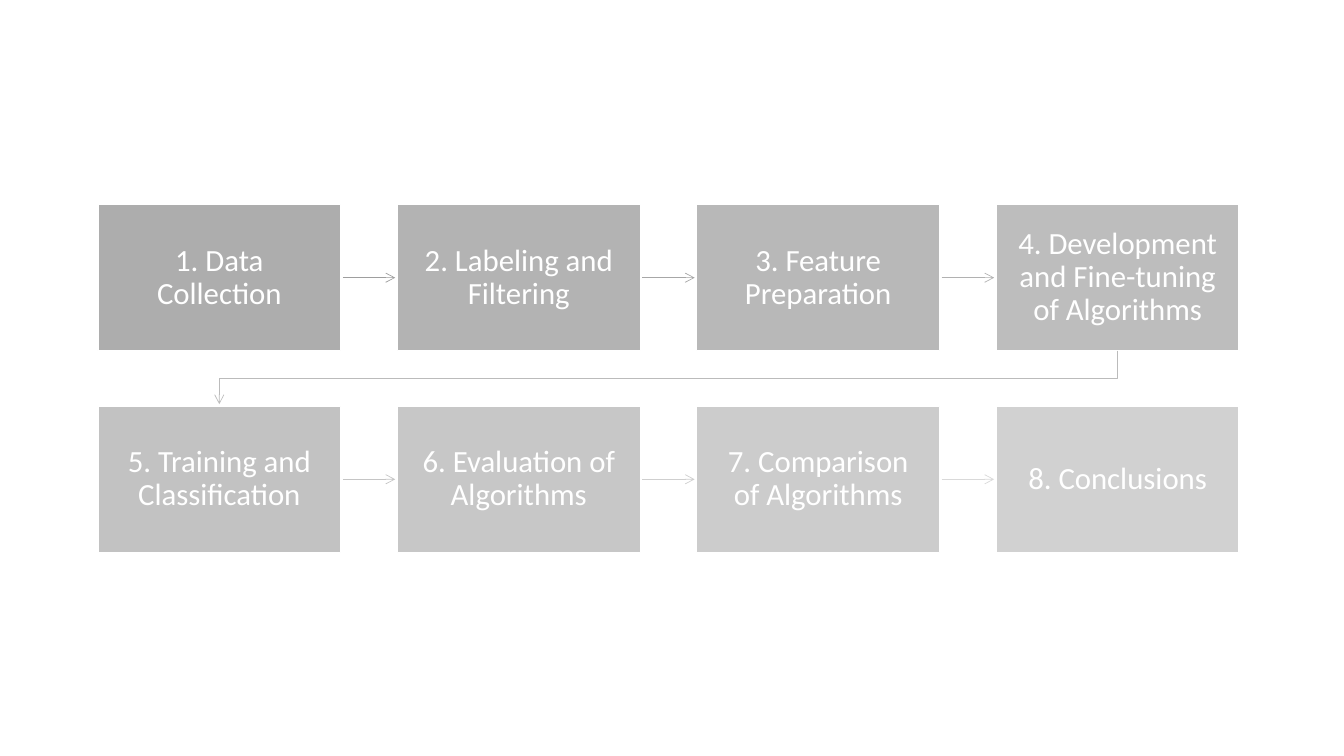
"""Build a slide with an eight-step process flow in two rows."""
from lxml import etree
from pptx import Presentation
from pptx import util as u
from pptx.dml.color import RGBColor
from pptx.enum import shapes, text
from pptx.oxml.ns import qn

WHITE = RGBColor(0xFF, 0xFF, 0xFF)
BOX_GREY = RGBColor(0xA5, 0xA5, 0xA5)
ARROW_GREYS = [RGBColor(level, level, level)
               for level in (0x9E, 0xA7, 0xB1, 0xBB, 0xC5, 0xCF, 0xD9)]
STEPS = [
    "1. Data Collection",
    "2. Labeling and Filtering",
    "3. Feature Preparation",
    "4. Development and Fine-tuning of Algorithms",
    "5. Training and Classification",
    "6. Evaluation of Algorithms",
    "7. Comparison of Algorithms",
    "8. Conclusions",
]
COLUMNS = 4
LEFT, TOP = 0.97, 2.03
BOX_WIDTH, BOX_HEIGHT = 2.41, 1.45
COLUMN_STEP, ROW_STEP = 2.97, 2.0
ARROW_GAP = 0.02
MARGIN = u.Inches(0.17)


def style_arrow(arrow, colour):
    """Give a line its colour, thin width and open arrowhead."""
    arrow.line.color.rgb = colour
    arrow.line.width = u.Pt(0.5)
    line = arrow.line._get_or_add_ln()
    etree.SubElement(line, qn("a:tailEnd"), type="arrow")


deck = Presentation()
deck.slide_width, deck.slide_height = u.Inches(13.33), u.Inches(7.5)
page = deck.slides.add_slide(deck.slide_layouts[6])

for index, step in enumerate(STEPS):
    row, column = divmod(index, COLUMNS)
    left = LEFT + column * COLUMN_STEP
    top = TOP + row * ROW_STEP

    box = page.shapes.add_shape(
        shapes.MSO_SHAPE.RECTANGLE, u.Inches(left), u.Inches(top),
        u.Inches(BOX_WIDTH), u.Inches(BOX_HEIGHT))
    box.shadow.inherit = False
    box.fill.solid()
    box.fill.fore_color.rgb = BOX_GREY
    opacity = 90000 - round(40000 * index / (len(STEPS) - 1))
    colour = box.fill._xPr.find(".//" + qn("a:srgbClr"))
    etree.SubElement(colour, qn("a:alpha"), val=str(opacity))
    box.line.color.rgb = WHITE
    box.line.width = u.Pt(1)

    frame = box.text_frame
    frame.word_wrap = True
    frame.vertical_anchor = text.MSO_ANCHOR.MIDDLE
    frame.margin_left = frame.margin_right = MARGIN
    frame.margin_top = frame.margin_bottom = MARGIN
    para = frame.paragraphs[0]
    para.text = step
    para.alignment = text.PP_ALIGN.CENTER
    para.line_spacing = 0.9
    para.font.name = "Calibri"
    para.font.size = u.Pt(22)
    para.font.color.rgb = WHITE

    if column < COLUMNS - 1:
        middle = u.Inches(top + BOX_HEIGHT / 2)
        arrow = page.shapes.add_connector(
            shapes.MSO_CONNECTOR.STRAIGHT,
            u.Inches(left + BOX_WIDTH + ARROW_GAP), middle,
            u.Inches(left + COLUMN_STEP - ARROW_GAP), middle)
        style_arrow(arrow, ARROW_GREYS[index])
        etree.SubElement(arrow._element.spPr, qn("a:effectLst"))

first_centre = LEFT + BOX_WIDTH / 2
last_centre = first_centre + (COLUMNS - 1) * COLUMN_STEP
row_end, next_row = TOP + BOX_HEIGHT, TOP + ROW_STEP
turn = (row_end + next_row) / 2
route = [(u.Inches(x), u.Inches(y)) for x, y in (
    (last_centre, row_end), (last_centre, turn),
    (first_centre, turn), (first_centre, next_row - ARROW_GAP))]
builder = page.shapes.build_freeform(*route[0])
builder.add_line_segments(route[1:], close=False)
row_link = builder.convert_to_shape()
row_link.shadow.inherit = False
row_link.fill.background()
style_arrow(row_link, ARROW_GREYS[COLUMNS - 1])

deck.save("out.pptx")
